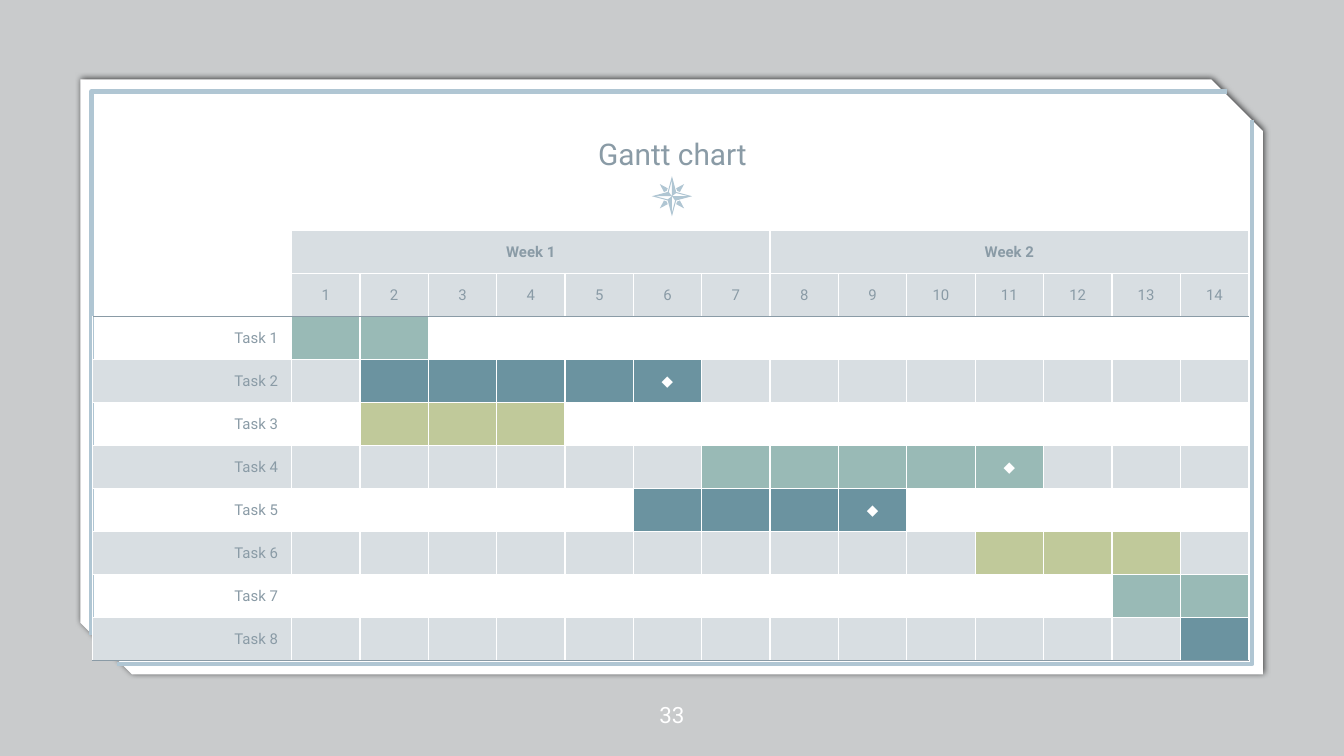
from pptx import Presentation
from pptx import util as u
from pptx.dml.color import RGBColor
from pptx.enum import shapes, text
from pptx.oxml import ns
from lxml import etree

# Content: name, first day, last day, colour, milestone day
TITLE = "Gantt chart"
PAGE = "33"
WEEKS = ["Week 1", "Week 2"]
DAYS_PER_WEEK = 7
TASKS = [
    ("Task 1", 1, 2, "teal", None),
    ("Task 2", 2, 6, "blue", 6),
    ("Task 3", 2, 4, "olive", None),
    ("Task 4", 7, 11, "teal", 11),
    ("Task 5", 6, 9, "blue", 9),
    ("Task 6", 11, 13, "olive", None),
    ("Task 7", 13, 14, "teal", None),
    ("Task 8", 14, 14, "blue", None),
]
MILESTONE = "◆"
THEME = {
    "font": "Roboto", "title": 16, "page": 12, "body": 8,
    "ink": "8A9BA6", "white": "FFFFFF", "band": "D8DEE2", "frame": "B0C6D3",
    "backdrop": "040E11", "teal": "99BAB6", "blue": "6B93A0", "olive": "C0C99A",
}
# Geometry in centimetres
SLIDE_W, SLIDE_H = 25.4, 14.29
TABLE_LEFT, TABLE_TOP = 1.75, 4.36
NAME_W, DAYS_W, TABLE_H = 3.76, 18.1, 8.13
FRAME_LINES = [
    [(1.73, 12.01), (1.73, 1.73), (23.19, 1.73)],
    [(23.67, 2.26), (23.67, 12.55), (2.21, 12.55)],
]
COMPASS_CENTRE = (12.7, 3.71)
COMPASS_POINT = [(0, -0.38), (0.08, -0.08)]
COMPASS_HOLLOW = [(0, -0.31), (0, 0), (-0.06, -0.08)]
COMPASS_MINOR = [(-0.23, -0.23), (-0.15, -0.08), (-0.1, -0.1), (-0.08, -0.15)]


def colour(name):
    return RGBColor.from_string(THEME[name])


def add_xml(parent, tag, **attributes):
    element = etree.SubElement(parent, ns.qn(tag))
    for key, value in attributes.items():
        element.set(key, str(value))
    return element


def write(frame, content, size="body", ink="ink", bold=False, align="CENTER"):
    paragraph = frame.paragraphs[0]
    paragraph.alignment = getattr(text.PP_ALIGN, align)
    if not content:  # keeps empty cells from growing taller than their row
        paragraph._p.get_or_add_endParaRPr().set("sz", str(THEME[size] * 100))
        return
    run = paragraph.add_run()
    run.text = content
    run.font.name, run.font.size = THEME["font"], u.Pt(THEME[size])
    run.font.bold, run.font.color.rgb = bold, colour(ink)


def add_label(slide, content, left, top, width, height, anchor, **style):
    box = slide.shapes.add_textbox(*map(u.Cm, (left, top, width, height)))
    frame = box.text_frame
    frame.word_wrap = True
    frame.margin_left = frame.margin_right = frame.margin_top = frame.margin_bottom = 0
    frame.vertical_anchor = getattr(text.MSO_ANCHOR, anchor)
    write(frame, content, **style)


def add_panel(slide, preset, fill, left, top, width, height):
    shape = slide.shapes.add_shape(preset, *map(u.Cm, (left, top, width, height)))
    shape.shadow.inherit = False
    shape.fill.solid()
    shape.fill.fore_color.rgb = colour(fill)
    shape.line.fill.background()
    return shape


def add_outline(slide, contours, closed=True):
    contours = [[(u.Cm(x), u.Cm(y)) for x, y in contour] for contour in contours]
    builder = slide.shapes.build_freeform(*contours[0][0])
    for index, contour in enumerate(contours):
        if index:
            builder.move_to(*contour[0])
        builder.add_line_segments(contour[1:], close=closed)
    shape = builder.convert_to_shape()
    shape.shadow.inherit = False
    if closed:
        shape.fill.solid()
        shape.fill.fore_color.rgb = colour("frame")
        shape.line.fill.background()
    else:
        shape.fill.background()
        shape.line.color.rgb = colour("frame")
        shape.line.width = u.Pt(2.25)


def quarter_turns(points):
    """The points in each of the four quarter turns."""
    turns = [points]
    for _ in range(3):
        turns.append([(-y, x) for x, y in turns[-1]])
    return turns


def add_compass(slide):
    def place(points):
        return [(COMPASS_CENTRE[0] + x, COMPASS_CENTRE[1] + y) for x, y in points]

    for minor in quarter_turns(COMPASS_MINOR):
        add_outline(slide, [place(minor)])
    star = sum(quarter_turns(COMPASS_POINT), [])
    add_outline(slide, [place(c) for c in [star] + quarter_turns(COMPASS_HOLLOW)])


def add_backdrop(slide):
    rectangle = add_panel(slide, shapes.MSO_SHAPE.RECTANGLE, "backdrop", 0, 0, SLIDE_W, SLIDE_H)
    add_xml(rectangle._element.spPr.find(".//" + ns.qn("a:srgbClr")), "a:alpha", val=21000)
    card = add_panel(slide, shapes.MSO_SHAPE.SNIP_2_DIAG_RECTANGLE, "white",
                     1.52, 1.5, 22.35, 11.25)
    card.adjustments[0], card.adjustments[1] = 0, 0.087
    effects = card._element.spPr.find(ns.qn("a:effectLst"))
    shadow = add_xml(effects, "a:outerShdw", blurRad=u.Pt(3.4), dist=u.Pt(0.8), dir=0,
                     algn="bl", rotWithShape=0)
    add_xml(add_xml(shadow, "a:srgbClr", val="000000"), "a:alpha", val=68000)
    for line in FRAME_LINES:
        add_outline(slide, [line], closed=False)


def set_borders(cell, **sides):
    properties = cell._tc.get_or_add_tcPr()
    for side in "LRTB":
        line = add_xml(properties, "a:ln" + side, w=u.Pt(0.75))
        if sides[side]:
            add_xml(add_xml(line, "a:solidFill"), "a:srgbClr", val=THEME[sides[side]])
        else:
            add_xml(line, "a:noFill")


def format_cell(cell, row, column, last_row, fill, content="", **style):
    corner = row < 2 and column == 0
    set_borders(
        cell,
        L=None if corner else "white",
        R="white",
        T=None if corner else "ink" if row == 2 else "white",
        B="ink" if row in (1, last_row) else None if corner else "white",
    )
    if fill:
        cell.fill.solid()
        cell.fill.fore_color.rgb = colour(fill)
    else:
        cell.fill.background()
    cell.vertical_anchor = text.MSO_ANCHOR.MIDDLE
    write(cell.text_frame, content, **style)


def add_gantt(slide):
    days = len(WEEKS) * DAYS_PER_WEEK
    rows = len(TASKS) + 2
    table = slide.shapes.add_table(rows, days + 1, *map(
        u.Cm, (TABLE_LEFT, TABLE_TOP, NAME_W + DAYS_W, TABLE_H))).table
    table.first_row = table.horz_banding = False
    for index, column in enumerate(table.columns):
        column.width = u.Cm(DAYS_W / days if index else NAME_W)
    for row in table.rows:
        row.height = u.Cm(TABLE_H / rows)

    # Week and day headers
    for day in range(days + 1):
        week, offset = divmod(day - 1, DAYS_PER_WEEK)
        fill = "band" if day else None
        name = WEEKS[week] if day and offset == 0 else ""
        format_cell(table.cell(0, day), 0, day, rows - 1, fill, name, bold=True)
        format_cell(table.cell(1, day), 1, day, rows - 1, fill, str(day) if day else "")
    for start in range(1, days, DAYS_PER_WEEK):
        table.cell(0, start).merge(table.cell(0, start + DAYS_PER_WEEK - 1))

    # Task rows, every second one banded
    for row, (name, first, last, bar, milestone) in enumerate(TASKS, 2):
        band = "band" if row % 2 else None
        format_cell(table.cell(row, 0), row, 0, rows - 1, band, name, align="RIGHT")
        for day in range(1, days + 1):
            fill = bar if first <= day <= last else band
            mark = MILESTONE if day == milestone else ""
            format_cell(table.cell(row, day), row, day, rows - 1, fill, mark, ink="white")


def main():
    presentation = Presentation()
    presentation.slide_width, presentation.slide_height = u.Cm(SLIDE_W), u.Cm(SLIDE_H)
    slide = presentation.slides.add_slide(presentation.slide_layouts[6])
    add_backdrop(slide)
    add_compass(slide)
    add_label(slide, TITLE, 2.79, 1.73, 19.84, 1.52, "BOTTOM", size="title")
    add_label(slide, PAGE, 11.94, 12.75, 1.52, 1.52, "MIDDLE", size="page", ink="white")
    add_gantt(slide)
    presentation.save("out.pptx")


if __name__ == "__main__":
    main()
